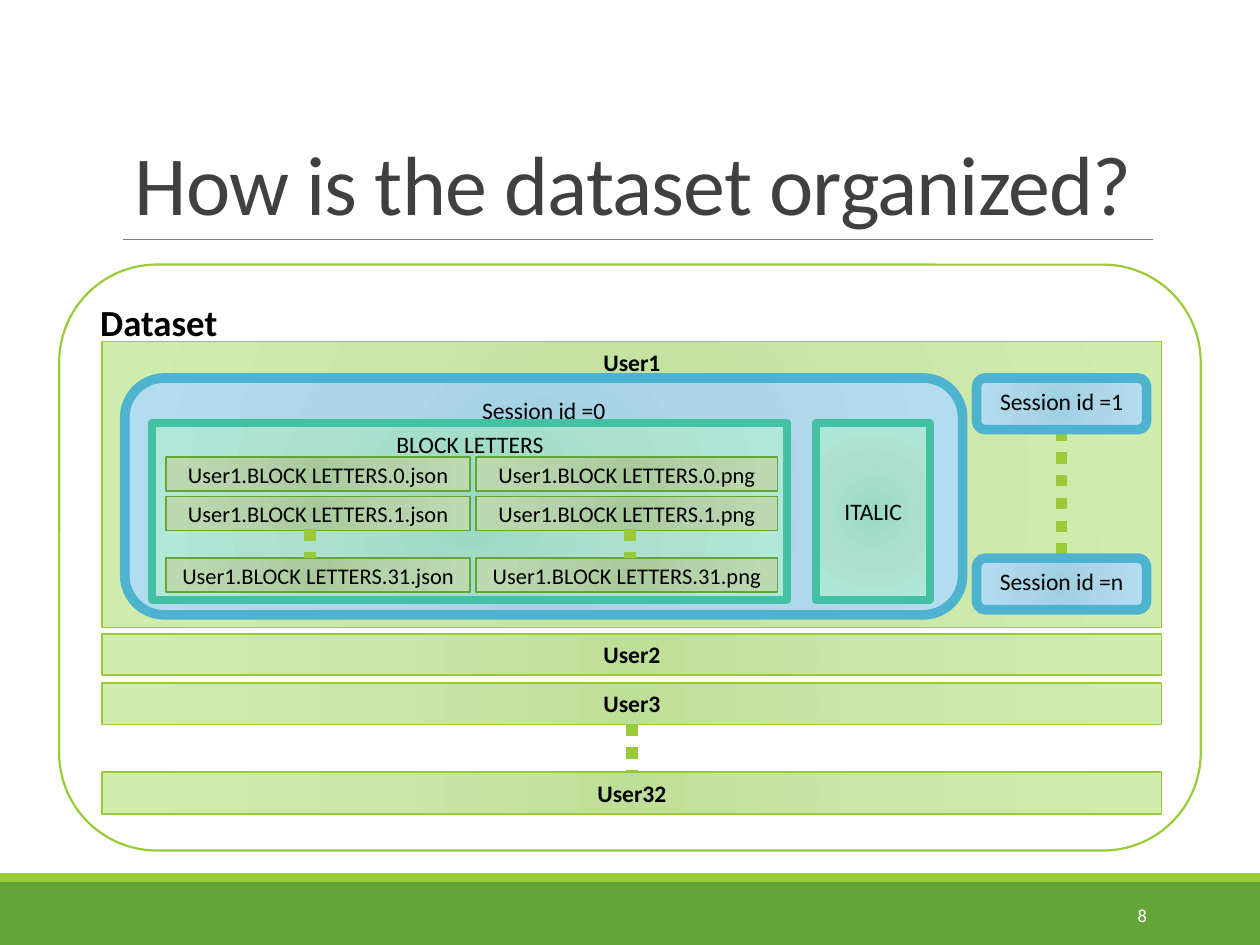
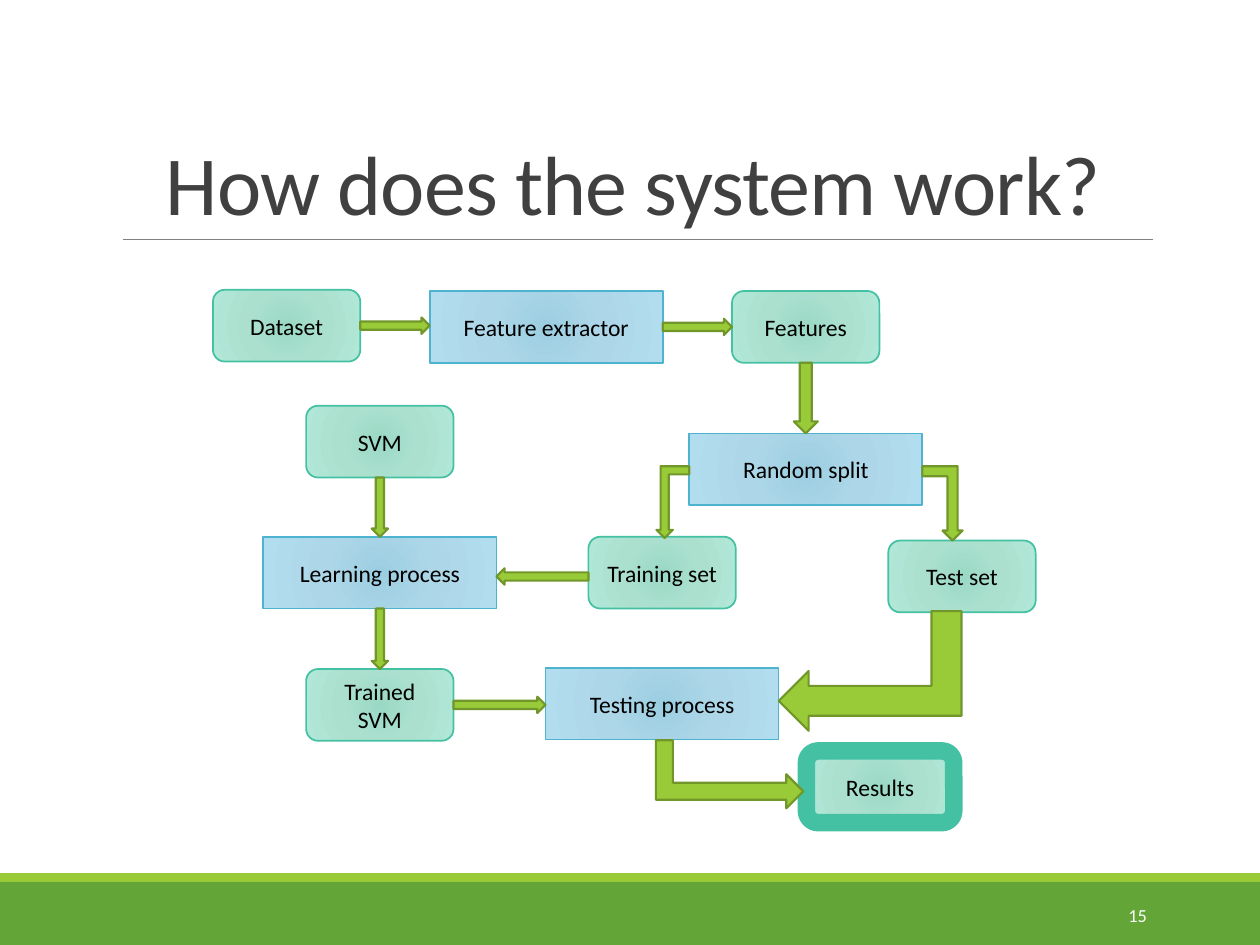
"""Build two slides on the organisation of a handwriting dataset and the system that uses it."""
from lxml import etree
from pptx import Presentation, util as u
from pptx.dml.color import RGBColor
from pptx.enum import dml, shapes, text
from pptx.oxml import parse_xml
from pptx.oxml.ns import nsdecls, qn

FONT = "Calibri"
BLACK = RGBColor(0, 0, 0)
WHITE = RGBColor(255, 255, 255)
TITLE_GREY = RGBColor(0x40, 0x40, 0x40)
RULE_GREY = RGBColor(0x80, 0x80, 0x80)
LIME = RGBColor(0x99, 0xCB, 0x38)
OLIVE = RGBColor(0x71, 0x96, 0x29)
GREEN = RGBColor(0x63, 0xA5, 0x37)
BLUE = RGBColor(0x4E, 0xB3, 0xCF)
TEAL = RGBColor(0x44, 0xC1, 0xA3)

GLOWS = {
    LIME: ("BEDF97", "CAE6A9", "D0EDAE"),
    BLUE: ("9CCEE1", "ADD7E8", "B2DDEF"),
    TEAL: ("9AD9C5", "ABE0CF", "B1E7D6"),
    GREEN: ("A7C99A", "B5D2AA", "BCD9B1"),
}

RECT = shapes.MSO_SHAPE.RECTANGLE
ROUND = shapes.MSO_SHAPE.ROUNDED_RECTANGLE
STRAIGHT_ARROW = shapes.MSO_SHAPE.RIGHT_ARROW
BENT_ARROW = shapes.MSO_SHAPE.BENT_UP_ARROW
TOP, MIDDLE = text.MSO_ANCHOR.TOP, text.MSO_ANCHOR.MIDDLE
LEFT, CENTER, RIGHT = text.PP_ALIGN.LEFT, text.PP_ALIGN.CENTER, text.PP_ALIGN.RIGHT

DATASET_AREA = (0.47, 2.1, 9.06, 4.65)
USERS = [("User1", 2.71, 2.27), ("User2", 5.03, 0.33), ("User3", 5.42, 0.33), ("User32", 6.13, 0.33)]
SESSIONS = [
    ("Session id =0", (0.99, 3, 6.65, 1.88)),
    ("Session id =1", (7.75, 3, 1.35, 0.41)),
    ("Session id =n", (7.75, 4.43, 1.35, 0.41)),
]
STYLES = [
    ("ITALIC", (6.48, 3.36, 0.9, 1.4), MIDDLE),
    ("BLOCK LETTERS", (1.21, 3.36, 5.04, 1.4), TOP),
]
FILE_ROWS = [(0, 3.63), (1, 3.94), (31, 4.43)]
FILE_COLUMNS = [("json", 1.32, 2.41, 2.46), ("png", 3.78, 2.39, 5)]
FILE_HEIGHT = 0.27

DATA_SIZE, PROCESS_SIZE = (1.17, 0.57), (1.85, 0.57)
DATA = {
    "Dataset": (1.69, 2.3),
    "Features": (5.81, 2.31),
    "Training set": (4.67, 4.26),
    "Test set": (7.05, 4.29),
    "SVM": (2.43, 3.22),
    "Trained SVM": (2.43, 5.31),
    "Results": (6.4, 5.96),
}
PROCESSES = {
    "Feature extractor": (3.41, 2.31),
    "Random split": (5.47, 3.44),
    "Learning process": (2.09, 4.26),
    "Testing process": (4.33, 5.3),
}
OUTLINES = {"Results": 10}
STEPS_ACROSS = [
    ("Dataset", "Feature extractor", 0),
    ("Feature extractor", "Features", 0),
    ("Training set", "Learning process", 0.03),
    ("Trained SVM", "Testing process", 0),
]
STEPS_DOWN = [
    ("Features", "Random split", 0.19),
    ("SVM", "Learning process", 0.13),
    ("Learning process", "Trained SVM", 0.13),
]
BENT_STEPS = [
    ((5.21, 3.7, 0.26, 0.57), 180, False),
    ((7.32, 3.7, 0.32, 0.59), 180, True),
    ((5.52, 5.56, 0.54, 1.17), 90, False),
    ((6.43, 4.6, 0.95, 1.45), 270, True),
]


def inches(values):
    return [u.Inches(value) for value in values]


def style_text(frame, size, color, align=CENTER, anchor=MIDDLE, bold=False):
    frame.word_wrap = True
    frame.vertical_anchor = anchor
    for paragraph in frame.paragraphs:
        paragraph.alignment = align
        for run in paragraph.runs:
            run.font.name = FONT
            run.font.size = u.Pt(size)
            run.font.bold = bold
            run.font.color.rgb = color


def add_solid(slide, preset, area, color, outline=None, width=1.25):
    solid = slide.shapes.add_shape(preset, *inches(area))
    solid.shadow.inherit = False
    solid.fill.solid()
    solid.fill.fore_color.rgb = color
    if outline is None:
        solid.line.fill.background()
    else:
        solid.line.color.rgb = outline
        solid.line.width = u.Pt(width)
    return solid


def add_glow_box(slide, preset, area, color, label, width=1, size=13.5, anchor=MIDDLE, bold=False):
    box = add_solid(slide, preset, area, color, color, width)
    stops = "".join(
        f'<a:gs pos="{position}"><a:srgbClr val="{shade}"/></a:gs>'
        for position, shade in zip((0, 45000, 100000), GLOWS[color])
    )
    glow = parse_xml(
        f'<a:gradFill {nsdecls("a")} rotWithShape="1"><a:gsLst>{stops}</a:gsLst><a:path path="circle">'
        '<a:fillToRect l="100000" t="100000" r="100000" b="100000"/></a:path></a:gradFill>'
    )
    properties = box._element.spPr
    properties.replace(properties.find(qn("a:solidFill")), glow)
    box.text_frame.text = label
    style_text(box.text_frame, size, BLACK, anchor=anchor, bold=bold)
    return box


def add_line(slide, start, end, color, width, dash=None):
    line = slide.shapes.add_connector(shapes.MSO_CONNECTOR.STRAIGHT, *inches(start + end))
    line.line.color.rgb = color
    line.line.width = u.Pt(width)
    if dash:
        line.line.dash_style = dash
    etree.SubElement(line._element.spPr, qn("a:effectLst"))
    return line


def add_dots(slide, x, top, bottom):
    return add_line(slide, (x, top), (x, bottom), LIME, 6.5, dml.MSO_LINE.ROUND_DOT)


def join(line, upper, lower):
    line.begin_connect(upper, 2)
    line.end_connect(lower, 0)


def add_arrow(slide, preset, area, rotation=0, flipped=False):
    arrow = add_solid(slide, preset, area, LIME, OLIVE)
    arrow.rotation = rotation
    if flipped:
        arrow._element.spPr.xfrm.set("flipH", "1")


def add_base(deck, heading, number):
    slide = deck.slides.add_slide(deck.slide_layouts[5])
    add_solid(slide, RECT, (0, 7, 10, 0.5), GREEN)
    add_solid(slide, RECT, (0, 6.93, 10, 0.07), LIME)
    add_line(slide, (0.98, 1.9), (9.15, 1.9), RULE_GREY, 0.5)

    title = slide.shapes.title
    title.left, title.top, title.width, title.height = inches((0.9, 0.31, 8.25, 1.59))
    title.text_frame.text = heading
    title.text_frame.auto_size = text.MSO_AUTO_SIZE.NONE
    style_text(title.text_frame, 48, TITLE_GREY, anchor=text.MSO_ANCHOR.BOTTOM)
    paragraph = title.text_frame.paragraphs[0]
    paragraph.line_spacing = 0.85
    paragraph.runs[0].font._element.set("spc", "-50")

    page = slide.shapes.add_textbox(*inches((8.12, 7.06, 1.08, 0.4)))
    page.text_frame.text = str(number)
    style_text(page.text_frame, 10.5, WHITE, align=RIGHT)
    return slide


def build_dataset(deck):
    slide = add_base(deck, "How is the dataset organized?", 8)
    dataset = add_solid(slide, ROUND, DATASET_AREA, WHITE, LIME)
    dataset.text_frame.text = "Dataset"
    style_text(dataset.text_frame, 21, BLACK, align=LEFT, anchor=TOP, bold=True)

    users = [
        add_glow_box(slide, RECT, (0.81, top, 8.41, height), LIME, name, anchor=TOP, bold=True)
        for name, top, height in USERS
    ]
    join(add_dots(slide, 5.02, 5.75, 6.13), users[2], users[3])

    session_dots = add_dots(slide, 8.43, 3.41, 4.43)
    sessions = [
        add_glow_box(slide, ROUND, area, BLUE, name, width=5.5, anchor=TOP)
        for name, area in SESSIONS
    ]
    join(session_dots, sessions[1], sessions[2])

    for name, area, anchor in STYLES:
        add_glow_box(slide, RECT, area, TEAL, name, width=4.5, anchor=anchor)
    for extension, left, width, dots_x in FILE_COLUMNS:
        for index, top in FILE_ROWS:
            name = f"User1.BLOCK LETTERS.{index}.{extension}"
            add_glow_box(slide, RECT, (left, top, width, FILE_HEIGHT), GREEN, name, size=12.8)
        add_dots(slide, dots_x, 4.2, 4.43)


def build_system(deck):
    slide = add_base(deck, "How does the system work?", 15)
    areas = {}
    for group, size, preset, color in ((DATA, DATA_SIZE, ROUND, TEAL), (PROCESSES, PROCESS_SIZE, RECT, BLUE)):
        for name, corner in group.items():
            areas[name] = corner + size
            add_glow_box(slide, preset, areas[name], color, name, width=OUTLINES.get(name, 1))

    thickness = 0.13
    for source, target, drop in STEPS_ACROSS:
        first, second = sorted((areas[source], areas[target]))
        start = first[0] + first[2]
        middle = areas[source][1] + areas[source][3] / 2 + drop
        rotation = 0 if first == areas[source] else 180
        area = (start, middle - thickness / 2, second[0] - start, thickness)
        add_arrow(slide, STRAIGHT_ARROW, area, rotation)

    for source, target, breadth in STEPS_DOWN:
        left, top, width, height = areas[source]
        length = areas[target][1] - top - height
        middle = top + height + length / 2
        area = (left + width / 2 - length / 2, middle - breadth / 2, length, breadth)
        add_arrow(slide, STRAIGHT_ARROW, area, 90)

    for area, rotation, flipped in BENT_STEPS:
        add_arrow(slide, BENT_ARROW, area, rotation, flipped)


def main():
    deck = Presentation()
    deck.slide_width, deck.slide_height = inches((10, 7.5))
    build_dataset(deck)
    build_system(deck)
    deck.save("out.pptx")


if __name__ == "__main__":
    main()
